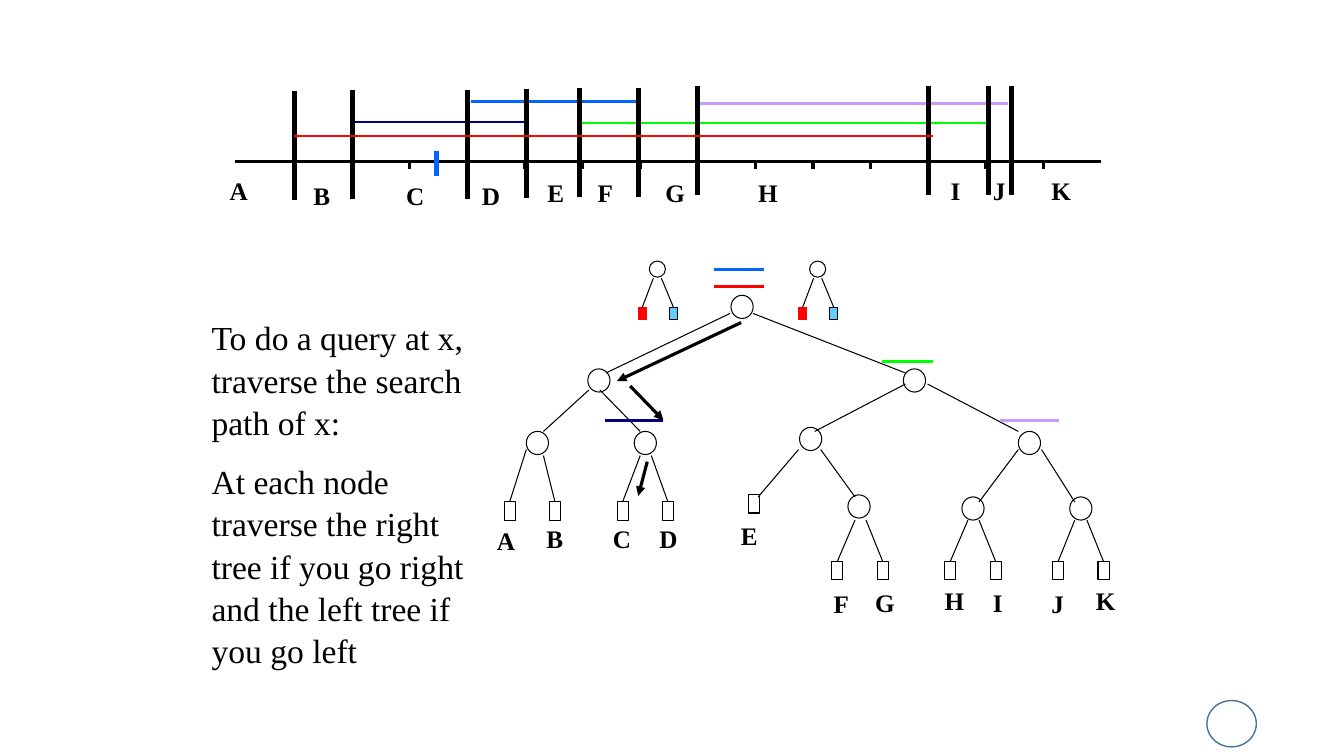
from dataclasses import dataclass
from lxml.etree import SubElement as Sub
from pptx import Presentation
from pptx.dml.color import RGBColor as Rgb
from pptx.enum.shapes import MSO_CONNECTOR as Conn, MSO_SHAPE as Geo
from pptx.oxml.ns import qn
from pptx.util import Inches, Pt


@dataclass(frozen=True)
class Theme:
    font: str = "Times New Roman"
    black: str = "000000"
    red: str = "FF0000"
    green: str = "00FF00"
    blue: str = "0066FF"
    navy: str = "000080"
    lilac: str = "CC99FF"
    sky: str = "66CCFF"
    ring: str = "43739E"
    label: int = 18
    body: int = 24
    lead: float = 1.05
    gap: int = 12
    thin: float = 0.75
    span: float = 2
    arrow: float = 2.25
    axis: float = 2.5
    wall: float = 3.5
    mark: float = 4


T = Theme()

NOTES = [
    "To do a query at x, traverse the search path of x:",
    "At each node traverse the right tree if you go right and the left tree if you go left",
]
SPANS = [
    (5.75, 9.83, 1.22, T.green), (6.92, 10, 1.03, T.lilac),
    (3.5, 5.25, 1.21, T.navy), (4.67, 6.33, 1.01, T.blue),
]
TOP_SPAN = (2.92, 9.25, 1.35, T.red)
STORED = [
    (9.92, 10.5, 4.17, T.lilac), (7.08, 7.58, 2.84, T.red),
    (7.08, 7.58, 2.67, T.blue), (6, 6.58, 4.17, T.navy),
    (8.75, 9.25, 3.59, T.green),
]
WALLS = [
    (2.92, 0.9), (3.5, 0.89), (4.64, 0.89), (5.22, 0.88), (5.75, 0.87),
    (6.33, 0.87), (6.92, 0.85), (9.21, 0.85), (9.8, 0.85), (10.03, 0.85),
]
NODES = [
    (8.96, 3.66), (7.25, 2.93), (10.1, 4.28), (9.54, 4.93), (10.61, 4.93),
    (5.22, 4.28), (6.29, 4.28), (8.41, 4.91), (7.93, 4.24), (5.83, 3.66),
]
LEAVES = {
    "A": (5, 4.98), "B": (5.45, 4.98), "C": (6.12, 4.98), "D": (6.57, 4.98),
    "E": (7.42, 4.91), "F": (8.25, 5.57), "G": (8.7, 5.57), "H": (9.37, 5.57),
    "I": (9.82, 5.57), "J": (10.44, 5.57), "K": (10.89, 5.57),
}
EDGES = [
    (7.24, 3.11, 6.01, 3.7), (7.47, 3.11, 8.98, 3.7), (8.98, 3.81, 8.08, 4.28),
    (9.2, 3.81, 10.1, 4.28), (10.33, 4.46, 10.66, 4.98), (10.1, 4.46, 9.71, 4.98),
    (8.14, 4.46, 8.48, 4.93), (7.92, 4.46, 7.52, 4.93),
    (5.95, 3.87, 6.35, 4.28), (5.84, 3.87, 5.39, 4.28),
]
TWIGS = {
    "A": (5.22, 4.46), "B": (5.39, 4.52), "C": (6.35, 4.52), "D": (6.46, 4.52),
    "F": (8.48, 5.16), "G": (8.59, 5.16), "H": (9.6, 5.16), "I": (9.71, 5.16),
    "J": (10.66, 5.16), "K": (10.78, 5.16),
}
LEAF_TAGS = {
    "A": (4.83, 5.15, 0.38), "B": (5.32, 5.13, 0.37), "C": (5.98, 5.13, 0.38),
    "D": (6.44, 5.13, 0.38), "E": (7.25, 5.1, 0.37), "F": (8.17, 5.77, 0.35),
    "G": (8.58, 5.76, 0.4), "H": (9.27, 5.74, 0.4), "I": (9.75, 5.76, 0.3),
    "J": (10.33, 5.77, 0.33), "K": (10.77, 5.74, 0.4),
}
AXIS_TAGS = {
    "A": (2.18, 1.68), "B": (3.01, 1.72), "C": (3.93, 1.72), "D": (4.68, 1.72),
    "E": (5.33, 1.7), "F": (5.83, 1.7), "G": (6.5, 1.7), "H": (7.42, 1.7),
    "I": (9.33, 1.68), "J": (9.75, 1.68), "K": (10.33, 1.68),
}
MINIS = [7.92, 6.33]
PATH = [
    (7.35, 3.2, 6.12, 3.78), (6.25, 3.83, 6.58, 4.17), (6.42, 4.58, 6.33, 4.92),
]
AXIS_X, AXIS_Y, STEPS = 2.33, 1.6, 15
STEP, PIECE = 8 / 14, 0.59

deck = Presentation()
deck.slide_width, deck.slide_height = Inches(13.33), Inches(7.5)
slide = deck.slides.add_slide(deck.slide_layouts[6])
parts = slide.shapes


def line(x1, y1, x2, y2, color=T.black, width=T.thin, head=False, leaf=None):
    item = parts.add_connector(
        Conn.STRAIGHT, Inches(x1), Inches(y1), Inches(x2), Inches(y2))
    if leaf is not None:
        item.end_connect(leaf, 0)
    item.line.color.rgb = Rgb.from_string(color)
    item.line.width = Pt(width)
    if head:
        Sub(item.line._get_or_add_ln(), qn("a:tailEnd"), type="triangle")
    Sub(item._element.spPr, qn("a:effectLst"))


def shape(kind, x, y, w, h, fill=None, edge=T.black, width=T.thin):
    item = parts.add_shape(kind, Inches(x), Inches(y), Inches(w), Inches(h))
    item.shadow.inherit = False
    if fill:
        item.fill.solid()
        item.fill.fore_color.rgb = Rgb.from_string(fill)
    else:
        item.fill.background()
    item.line.color.rgb = Rgb.from_string(edge)
    item.line.width = Pt(width)
    return item


def write(lines, x, y, w, h, size, bold=False, wrap=True, turn=0):
    box = parts.add_textbox(Inches(x), Inches(y), Inches(w), Inches(h))
    box.rotation = turn
    frame = box.text_frame
    frame.word_wrap = wrap
    for i, words in enumerate(lines):
        para = frame.add_paragraph() if i else frame.paragraphs[0]
        para.line_spacing = T.lead
        if i:
            para.space_before = Pt(T.gap)
        run = para.add_run()
        run.text = words
        run.font.name = T.font
        run.font.size = Pt(size)
        run.font.bold = bold
        run.font.color.rgb = Rgb.from_string(T.black)


def spans(rows):
    for x1, x2, y, color in rows:
        line(x1, y, x2, y, color, T.span)


def axis():
    for i in range(STEPS):
        x = AXIS_X + i * STEP
        line(x, AXIS_Y, x + PIECE, AXIS_Y, width=T.axis)
        if i < STEPS - 1:
            line(x + PIECE, AXIS_Y, x + PIECE, AXIS_Y + 0.08, width=T.axis)


def mini(x):
    for dx, top, fill, edge in [(0.31, 0.23, T.sky, T.black), (0, 0.15, T.red, T.red)]:
        leaf = shape(Geo.RECTANGLE, x + dx, 3.05, 0.08, 0.12, fill, edge)
        line(x + top, 2.76, x + dx + 0.04, 3.05, leaf=leaf)
    shape(Geo.OVAL, x + 0.11, 2.59, 0.16, 0.16)


def main():
    shape(Geo.OVAL, 11.97, 6.95, 0.49, 0.46, edge=T.ring, width=1)
    spans(SPANS)
    for x, y in WALLS:
        line(x, y, x, y + 1.08, width=T.wall)
    for x, y in NODES:
        shape(Geo.OVAL, x, y, 0.22, 0.23)
    for edge in EDGES:
        line(*edge)
    for name, (x, y) in LEAVES.items():
        leaf = shape(Geo.RECTANGLE, x, y, 0.11, 0.18)
        if name in TWIGS:
            line(*TWIGS[name], x + 0.055, y, leaf=leaf)
    for name, (x, y, w) in LEAF_TAGS.items():
        write([name], x, y, w, 0.4, T.label, True, False, 359.8)
    for name, (x, y) in AXIS_TAGS.items():
        write([name], x, y, 0.42, 0.4, T.label, True)
    axis()
    spans([TOP_SPAN] + STORED)
    for x in MINIS:
        mini(x)
    write(NOTES, 2, 3.08, 3, 3.53, T.body)
    for move in PATH:
        line(*move, width=T.arrow, head=True)
    line(4.33, 1.5, 4.33, 1.75, T.blue, T.mark)
    deck.save("out.pptx")


if __name__ == "__main__":
    main()
